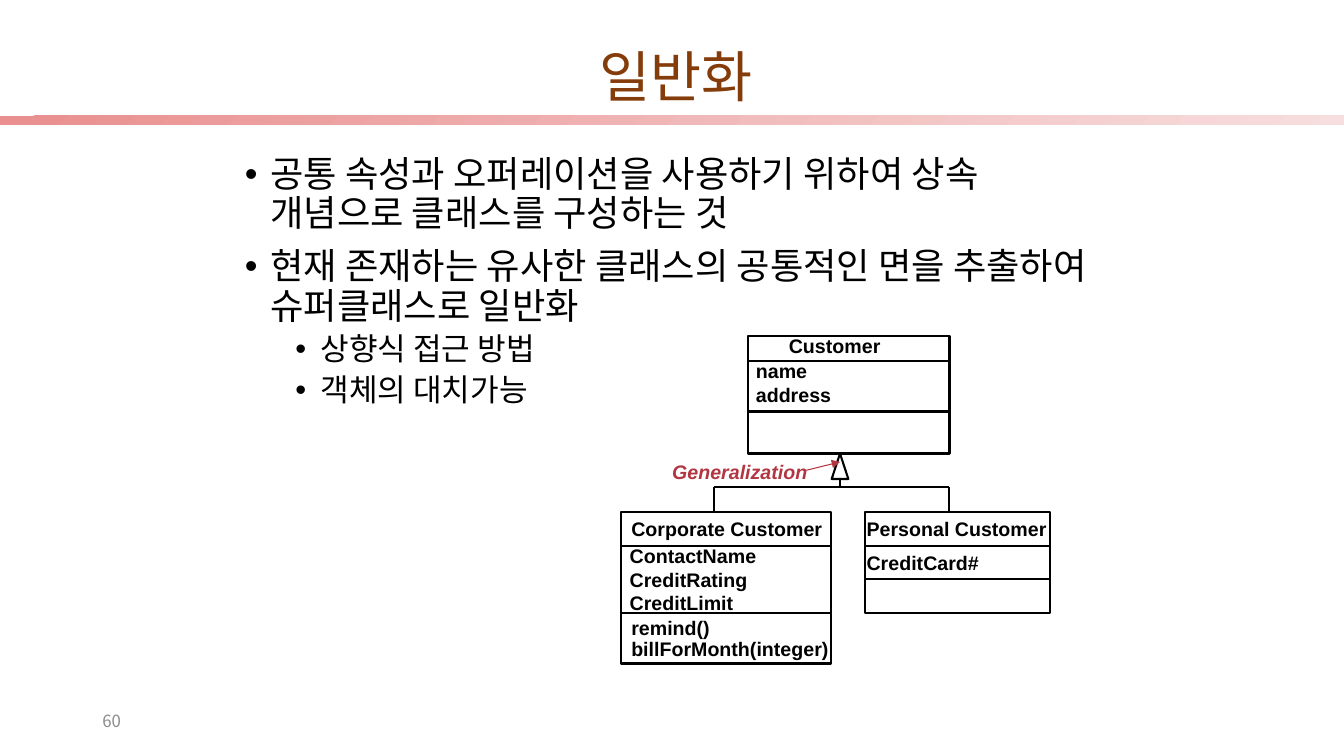
from lxml.etree import SubElement
from pptx import Presentation
from pptx.dml.color import RGBColor
from pptx.enum.shapes import MSO_CONNECTOR, MSO_SHAPE
from pptx.enum.text import MSO_ANCHOR as Anchor, MSO_AUTO_SIZE as AutoSize, PP_ALIGN as Align
from pptx.oxml.ns import qn
from pptx.util import Cm, Pt

KOREAN, LATIN = "Noto Sans CJK KR", "Arial"
BLACK, BROWN, RED, GRAY = "000000", "843C0B", "B23642", "8C8C8C"


def rgb(hex_code):
    return RGBColor.from_string(hex_code)


class UmlSlide:
    def __init__(self, deck):
        self.slide = deck.slides.add_slide(deck.slide_layouts[1])
        self.shapes = self.slide.shapes

    def format_runs(self, paragraph, size, font=KOREAN, color=BLACK, bold=False, italic=False):
        for run in paragraph.runs:
            run.font.size, run.font.name = Pt(size), font
            run.font.bold, run.font.italic = bold, italic
            run.font.color.rgb = rgb(color)
            SubElement(run.font._element, qn("a:ea"), typeface=font)

    def place(self, shape, left, top, width, height):
        shape.left, shape.top = Cm(left), Cm(top)
        shape.width, shape.height = Cm(width), Cm(height)

    def title(self, text, *box):
        heading = self.shapes.title
        self.place(heading, *box)
        frame = heading.text_frame
        frame.text = text
        frame.auto_size, frame.vertical_anchor = AutoSize.NONE, Anchor.MIDDLE
        line = frame.paragraphs[0]
        line.alignment, line.line_spacing = Align.CENTER, 0.9
        self.format_runs(line, 39.6, color=BROWN)

    def bullets(self, items, *box):
        body = self.slide.placeholders[1]
        self.place(body, *box)
        frame = body.text_frame
        frame.text = "\n".join(text for _, text in items)
        frame.auto_size, frame.vertical_anchor = AutoSize.NONE, Anchor.TOP
        for index, (paragraph, (level, _)) in enumerate(zip(frame.paragraphs, items)):
            properties = paragraph._p.get_or_add_pPr()
            properties.set("marL", str(Cm(0.64 + 1.27 * level)))
            properties.set("indent", str(Cm(-0.64)))
            SubElement(properties, qn("a:buFont"), typeface=LATIN)
            SubElement(properties, qn("a:buChar"), char="•")
            paragraph.level, paragraph.line_spacing = level, 0.9
            paragraph.space_before = Pt((5 if level else 10) if index else 0)
            self.format_runs(paragraph, 22.2 if level else 25.9)

    def outline(self, kind, left, top, width, height):
        shape = self.shapes.add_shape(kind, Cm(left), Cm(top), Cm(width), Cm(height))
        shape.shadow.inherit = False
        shape.fill.background()
        shape.line.color.rgb, shape.line.width = rgb(BLACK), Pt(1.5)

    def gradient_band(self, left, top, width, height, colors):
        band = self.shapes.add_shape(MSO_SHAPE.RECTANGLE, Cm(left), Cm(top), Cm(width), Cm(height))
        band.shadow.inherit = False
        band.line.fill.background()
        band.fill.gradient()
        band.fill.gradient_angle = 315
        for stop, color in zip(band.fill.gradient_stops, colors):
            stop.color.rgb = rgb(color)

    def line(self, x1, y1, x2, y2, color=BLACK, width=1.5, arrow=False):
        link = self.shapes.add_connector(MSO_CONNECTOR.STRAIGHT, Cm(x1), Cm(y1), Cm(x2), Cm(y2))
        link.line.color.rgb, link.line.width = rgb(color), Pt(width)
        if arrow:
            SubElement(link.line._get_or_add_ln(), qn("a:tailEnd"), type="triangle")
        SubElement(link._element.spPr, qn("a:effectLst"))

    def label(self, text, left, top, width, spacing=1.0, color=BLACK, italic=False):
        height = 0.86 + 0.6 * text.count("\n")
        box = self.shapes.add_textbox(Cm(left), Cm(top), Cm(width), Cm(height))
        frame = box.text_frame
        frame.text = text
        frame.word_wrap, frame.auto_size = False, AutoSize.SHAPE_TO_FIT_TEXT
        for paragraph in frame.paragraphs:
            if spacing != 1:
                paragraph.line_spacing = spacing
            self.format_runs(paragraph, 14, LATIN, color, True, italic)

    def page_number(self, text, left, top, width, height):
        box = self.shapes.add_textbox(Cm(left), Cm(top), Cm(width), Cm(height))
        frame = box.text_frame
        frame.text = text
        frame.word_wrap, frame.vertical_anchor = True, Anchor.MIDDLE
        self.format_runs(frame.paragraphs[0], 12, color=GRAY)

    def uml_class(self, left, top, width, height, dividers, labels):
        """Draw a class box; dividers are offsets from its top."""
        self.outline(MSO_SHAPE.RECTANGLE, left, top, width, height)
        for offset in dividers:
            self.line(left, top + offset, left + width, top + offset)
        for label in labels:
            self.label(*label)


def main():
    deck = Presentation()
    deck.slide_width, deck.slide_height = Cm(33.87), Cm(19.05)
    page = UmlSlide(deck)
    page.gradient_band(0, 2.92, 33.87, 0.23, ("E98F8F", "F7DEDE"))
    page.title("일반화", 1.52, 1.22, 31.04, 1.55)
    page.bullets([
        (0, "공통 속성과 오퍼레이션을 사용하기 위하여 상속 개념으로 클래스를 구성하는 것"),
        (0, "현재 존재하는 유사한 클래스의 공통적인 면을 추출하여 슈퍼클래스로 일반화"),
        (1, "상향식 접근 방법"),
        (1, "객체의 대치가능"),
    ], 5.92, 3.81, 22.23, 7.14)

    page.uml_class(18.85, 8.47, 5.08, 2.96, (0.63, 1.9), [
        ("Customer", 19.63, 8.28, 3.3),
        ("name\naddress", 18.8, 8.92, 2.84),
    ])
    page.uml_class(15.66, 12.91, 5.29, 3.81, (0.85, 2.54), [
        ("Corporate Customer", 15.66, 12.91, 6.53),
        ("ContactName\nCreditRating\nCreditLimit", 15.62, 13.59, 4.42),
        ("remind()\nbillForMonth(integer)", 15.66, 15.45, 6.93, 0.9),
    ])
    page.uml_class(21.8, 12.91, 4.66, 2.54, (0.85, 1.69), [
        ("Personal Customer", 21.59, 12.91, 6.12),
        ("CreditCard#", 21.59, 13.76, 4.22),
    ])

    corporate_x, personal_x, parent_x = 17.99, 23.92, 21.17
    branch_y, child_top = 12.28, 12.91
    page.line(corporate_x, branch_y, personal_x, branch_y)
    for child_x in (corporate_x, personal_x):
        page.line(child_x, branch_y, child_x, child_top)
    page.outline(MSO_SHAPE.ISOSCELES_TRIANGLE, 20.96, 11.43, 0.42, 0.64)
    page.line(parent_x, 12.07, parent_x, branch_y)
    page.label("Generalization", 16.69, 11.46, 4.88, color=RED, italic=True)
    page.line(20.32, 11.85, parent_x, 11.64, RED, 0.75, arrow=True)

    page.page_number("60", 2.33, 17.66, 7.62, 1.01)
    deck.save("out.pptx")


if __name__ == "__main__":
    main()
